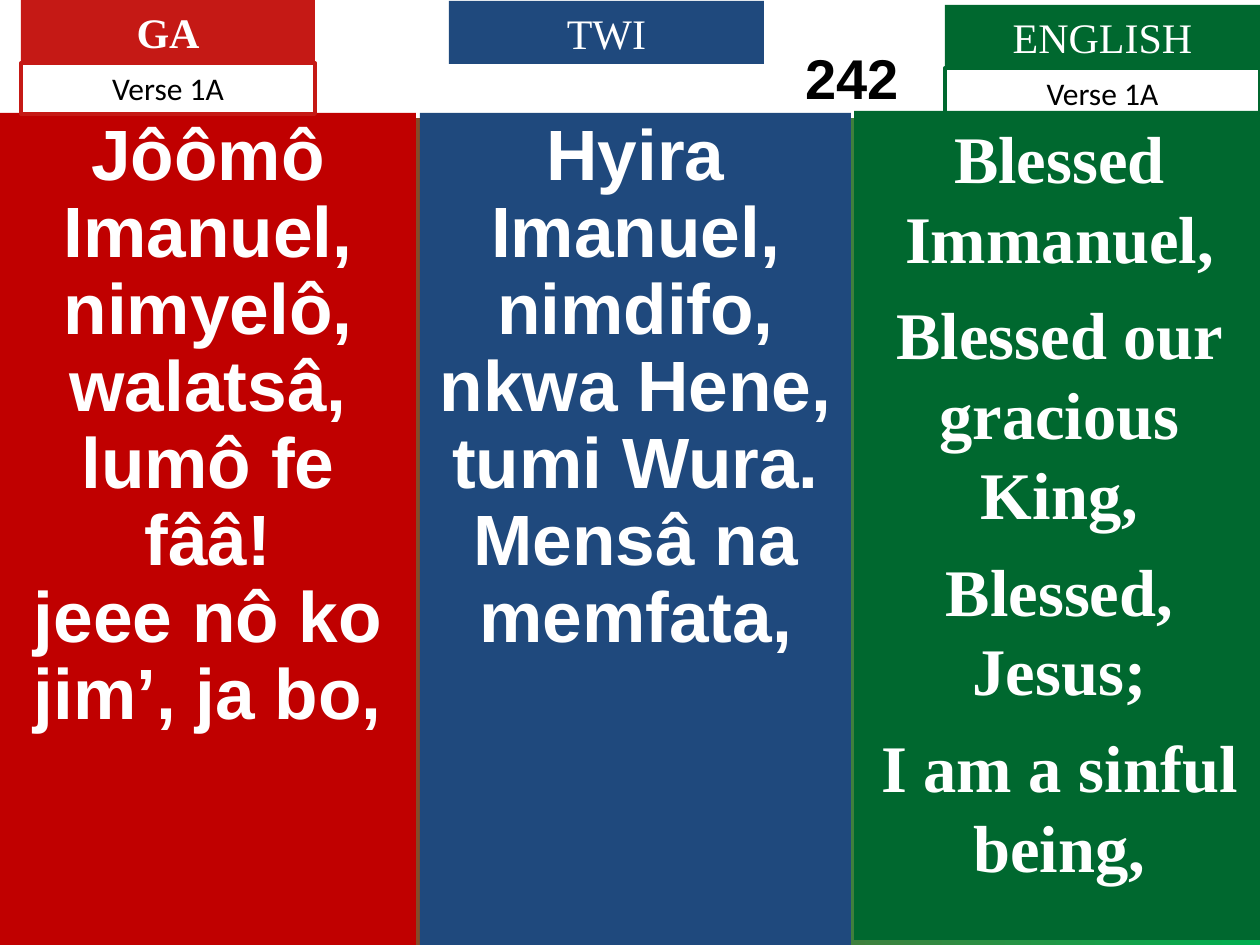
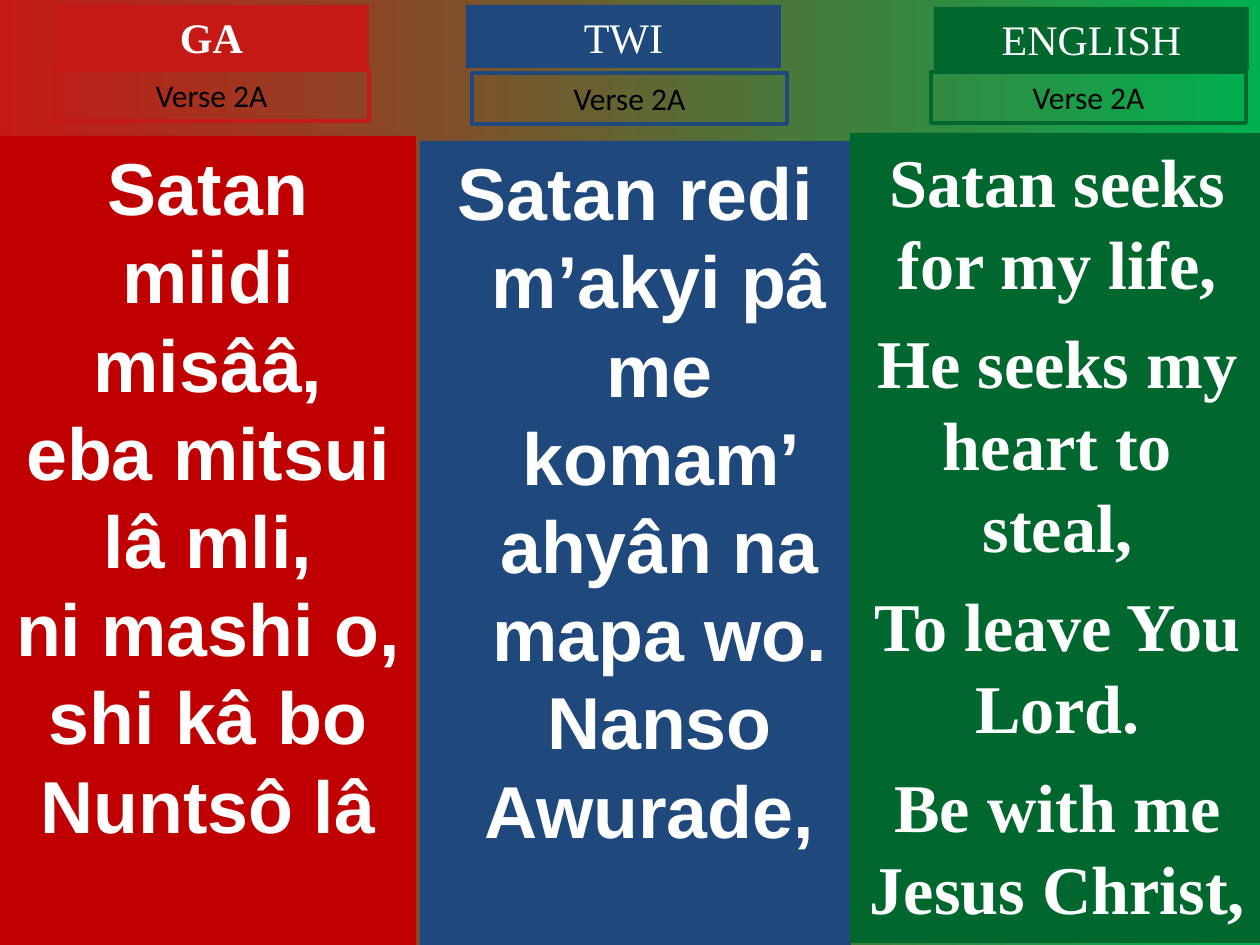
from pptx import Presentation
from pptx.dml.color import RGBColor
from pptx.enum.text import MSO_ANCHOR as Anchor, PP_ALIGN as Align
from pptx.util import Emu, Pt

SCALE = 914400 / 126
WIDE, HIGH = 1260, 945
SANS, SERIF, PLAIN = "Arial", "Times New Roman", "Calibri"
WHITE = RGBColor(0xFF, 0xFF, 0xFF)
BLACK = RGBColor(0, 0, 0)
RED = RGBColor(0xC5, 0x19, 0x15)
CRIMSON = RGBColor(0xC0, 0, 0)
NAVY = RGBColor(0x1F, 0x49, 0x7D)
GREEN = RGBColor(0, 0x68, 0x2F)
LIME = RGBColor(0, 0xB0, 0x50)


def px(count):
    return Emu(round(count * SCALE))


def paint(shape, color):
    shape.fill.solid()
    shape.fill.fore_color.rgb = color


def style(para, name, size, color, bold=False):
    para.alignment = Align.CENTER
    font = para.font
    font.name, font.size, font.bold = name, Pt(size), bold
    font.color.rgb = color


def add_box(slide, area):
    box = slide.shapes.add_textbox(*map(px, area))
    box.text_frame.word_wrap = True
    return box


def add_head(slide, area, text, color, bold=False):
    box = add_box(slide, area)
    paint(box, color)
    box.text_frame.text = text
    style(box.text_frame.paragraphs[0], SERIF, 24, WHITE, bold)


def add_verse(slide, area, text, color):
    box = add_box(slide, area)
    box.line.color.rgb = color
    box.line.width = Pt(2.25)
    box.text_frame.text = text
    style(box.text_frame.paragraphs[0], PLAIN, 18, BLACK)


def add_lyric(slide, area, lines, color, name, size, pitch=1.0, gap=0, hang=0):
    """Fill a column with verse lines; hang is the hanging indent in px."""
    box = add_box(slide, area)
    paint(box, color)
    frame = box.text_frame
    frame.text = "\n".join(lines)
    for rank, para in enumerate(frame.paragraphs):
        style(para, name, size, WHITE, True)
        para.line_spacing = pitch
        para.space_before = Pt(gap if rank else 0)
        if hang:
            props = para._p.get_or_add_pPr()
            props.set("marL", str(px(hang)))
            props.set("indent", str(-px(hang)))


def add_title(slide, text):
    """Place the hymn number right of centre on a white band."""
    title = slide.shapes.title
    title.left, title.top, title.width, title.height = map(px, (0, 0, WIDE, 118))
    paint(title, WHITE)
    frame = title.text_frame
    frame.text = text
    frame.vertical_anchor = Anchor.MIDDLE
    frame.margin_left, frame.margin_right = px(456), px(12)
    frame.margin_top, frame.margin_bottom = px(42), px(6)
    style(frame.paragraphs[0], SANS, 32, BLACK, True)


def set_back(master):
    fill = master.background.fill
    fill.gradient()
    fill.gradient_angle = 0
    for stop, color, place in zip(fill.gradient_stops, (RED, LIME), (0, 1)):
        stop.color.rgb = color
        stop.position = place


def first_verse(deck):
    slide = deck.slides.add_slide(deck.slide_layouts[5])
    add_title(slide, "242")
    add_lyric(slide, (0, 113, 416, 832),
              ["Jôômô Imanuel,", "nimyelô, walatsâ,", "lumô fe fââ!",
               "jeee nô ko jim’, ja bo,"], CRIMSON, SANS, 40.7, 0.9)
    add_lyric(slide, (420, 113, 431, 832),
              ["Hyira Imanuel, nimdifo, nkwa Hene, tumi Wura.",
               "Mensâ na memfata,"], NAVY, SANS, 40.7, 0.9)
    add_lyric(slide, (854, 111, 411, 829),
              ["Blessed Immanuel,", "Blessed our gracious King,",
               "Blessed, Jesus;", "I am a sinful being,"],
              GREEN, SERIF, 38, gap=9.5)
    add_head(slide, (21, 0, 294, 63), "GA", RED, True)
    add_head(slide, (449, 1, 315, 63), "TWI", NAVY)
    add_head(slide, (945, 5, 315, 63), "ENGLISH", GREEN)
    add_verse(slide, (21, 63, 294, 51), "Verse 1A", RED)
    add_verse(slide, (945, 68, 315, 51), "Verse 1A", GREEN)


def second_verse(deck):
    slide = deck.slides.add_slide(deck.slide_layouts[6])
    add_lyric(slide, (0, 136, 416, 809),
              ["Satan miidi misââ,", "eba mitsui lâ mli,", "ni mashi o,",
               "shi kâ bo Nuntsô lâ"], CRIMSON, SANS, 42)
    add_lyric(slide, (420, 141, 431, 804),
              ["Satan redi m’akyi pâ me komam’ ahyân na mapa wo. "
               "Nanso Awurade, "], NAVY, SANS, 42, hang=48)
    add_lyric(slide, (850, 133, 415, 810),
              ["Satan seeks for my life,", "He seeks my heart to steal,",
               "To leave You Lord.", "Be with me Jesus Christ,"],
              GREEN, SERIF, 39, gap=9.8)
    add_head(slide, (54, 5, 315, 63), "GA", RED, True)
    add_head(slide, (466, 5, 315, 63), "TWI", NAVY)
    add_head(slide, (934, 7, 315, 63), "ENGLISH", GREEN)
    add_verse(slide, (54, 70, 315, 51), "Verse 2A", RED)
    add_verse(slide, (472, 73, 315, 51), "Verse 2A", NAVY)
    add_verse(slide, (931, 72, 315, 51), "Verse 2A", GREEN)


def main():
    deck = Presentation()
    deck.slide_width, deck.slide_height = px(WIDE), px(HIGH)
    set_back(deck.slide_master)
    first_verse(deck)
    second_verse(deck)
    deck.save("out.pptx")


if __name__ == "__main__":
    main()
